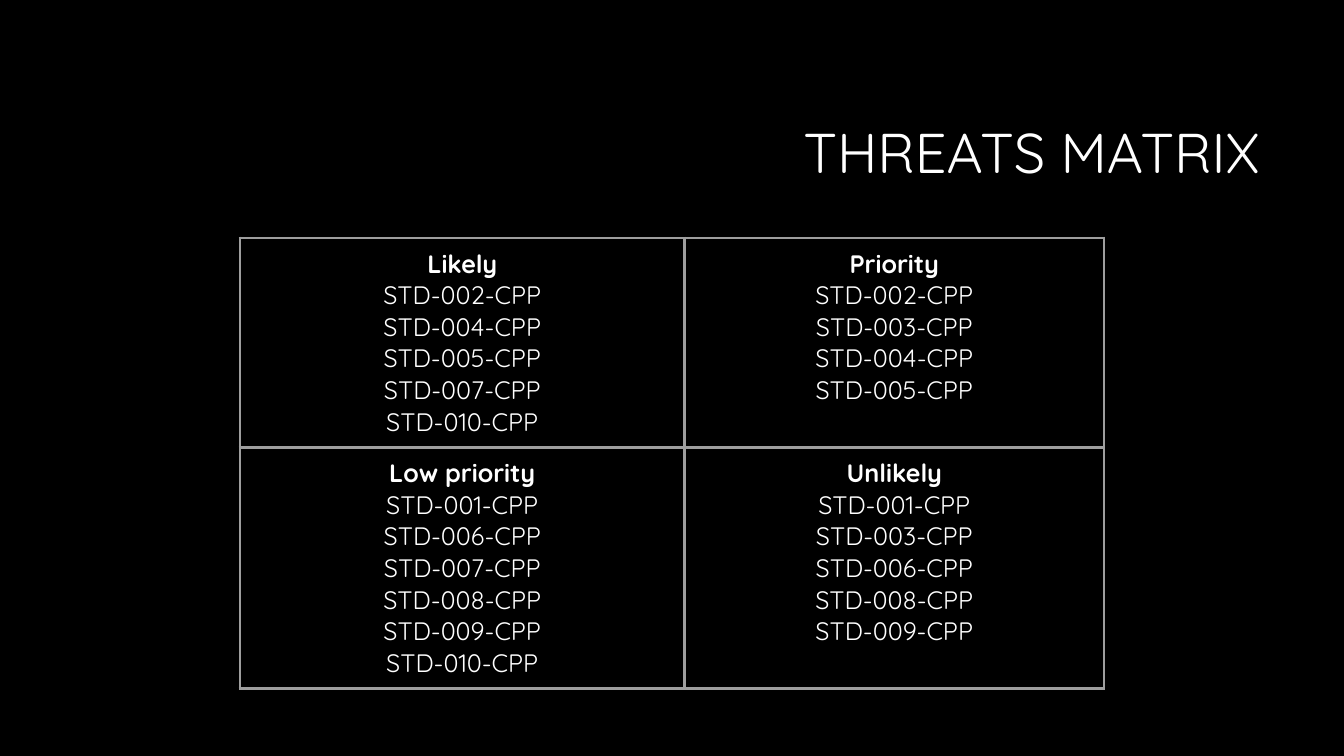
from dataclasses import dataclass

from lxml import etree
from pptx import Presentation
from pptx.dml.color import RGBColor
from pptx.enum.text import MSO_ANCHOR, PP_ALIGN
from pptx.oxml.ns import qn
from pptx.slide import Slide
from pptx.table import _Cell
from pptx.text.text import _Paragraph
from pptx.util import Inches, Pt

CENTER, RIGHT = PP_ALIGN.CENTER, PP_ALIGN.RIGHT
MIDDLE = MSO_ANCHOR.MIDDLE


@dataclass(frozen=True)
class Theme:
    """Colours, font and sizes of the slide."""
    back: str = "000000"
    ink: str = "FFFFFF"
    rule: str = "9E9E9E"
    font: str = "Quicksand"
    title: float = 40
    body: float = 18
    line: float = 2.25


@dataclass(frozen=True)
class Group:
    """One cell of the matrix: a heading and its standard numbers."""
    name: str
    codes: tuple[int, ...]


THEME = Theme()
MATRIX = (
    (Group("Likely", (2, 4, 5, 7, 10)), Group("Priority", (2, 3, 4, 5))),
    (Group("Low priority", (1, 6, 7, 8, 9, 10)),
     Group("Unlikely", (1, 3, 6, 8, 9))),
)
WIDTHS = (Inches(4.41), Inches(4.16))
HEIGHTS = (Inches(2.08), Inches(2.39))


def add_run(para: _Paragraph, text: str, size: float, bold: bool = False) -> None:
    """Add one styled run to a paragraph."""
    run = para.add_run()
    run.text = text
    run.font.name = THEME.font
    run.font.size = Pt(size)
    run.font.bold = bold
    run.font.color.rgb = RGBColor.from_string(THEME.ink)


def add_title(slide: Slide, text: str) -> None:
    """Add the right-aligned title."""
    box = slide.shapes.add_textbox(
        Inches(3.17), Inches(0.84), Inches(9.42), Inches(1.41))
    frame = box.text_frame
    frame.word_wrap = True
    frame.vertical_anchor = MIDDLE
    para = frame.paragraphs[0]
    para.alignment = RIGHT
    para.line_spacing = 0.9
    add_run(para, text, THEME.title)


def set_edges(cell: _Cell) -> None:
    """Draw the four borders of a cell."""
    props = cell._tc.get_or_add_tcPr()
    for spot, side in enumerate(("lnL", "lnR", "lnT", "lnB")):
        edge = etree.Element(qn(f"a:{side}"), w=str(Pt(THEME.line)))
        fill = etree.SubElement(edge, qn("a:solidFill"))
        etree.SubElement(fill, qn("a:srgbClr"), val=THEME.rule)
        props.insert(spot, edge)


def fill_cell(cell: _Cell, group: Group) -> None:
    """Fill a cell with its heading and codes."""
    cell.fill.solid()
    cell.fill.fore_color.rgb = RGBColor.from_string(THEME.back)
    cell.margin_left = cell.margin_right = Inches(0.1)
    cell.margin_top = cell.margin_bottom = Inches(0.1)
    set_edges(cell)
    frame = cell.text_frame
    head = frame.paragraphs[0]
    head.alignment = CENTER
    add_run(head, group.name, THEME.body, bold=True)
    for code in group.codes:
        para = frame.add_paragraph()
        para.alignment = CENTER
        add_run(para, f"STD-{code:03d}-CPP", THEME.body)


def add_matrix(slide: Slide) -> None:
    """Add the two-by-two table of threats."""
    table = slide.shapes.add_table(
        len(HEIGHTS), len(WIDTHS), Inches(2.38), Inches(2.36),
        sum(WIDTHS), sum(HEIGHTS)).table
    table.first_row = table.horz_banding = False
    for col, width in zip(table.columns, WIDTHS):
        col.width = width
    for row, height, groups in zip(table.rows, HEIGHTS, MATRIX):
        row.height = height
        for cell, group in zip(row.cells, groups):
            fill_cell(cell, group)


def main() -> None:
    """Build and save the slide."""
    deck = Presentation()
    deck.slide_width, deck.slide_height = Inches(13.33), Inches(7.5)
    slide = deck.slides.add_slide(deck.slide_layouts[6])
    slide.background.fill.solid()
    slide.background.fill.fore_color.rgb = RGBColor.from_string(THEME.back)
    add_title(slide, "THREATS MATRIX")
    add_matrix(slide)
    deck.save("out.pptx")


main()
